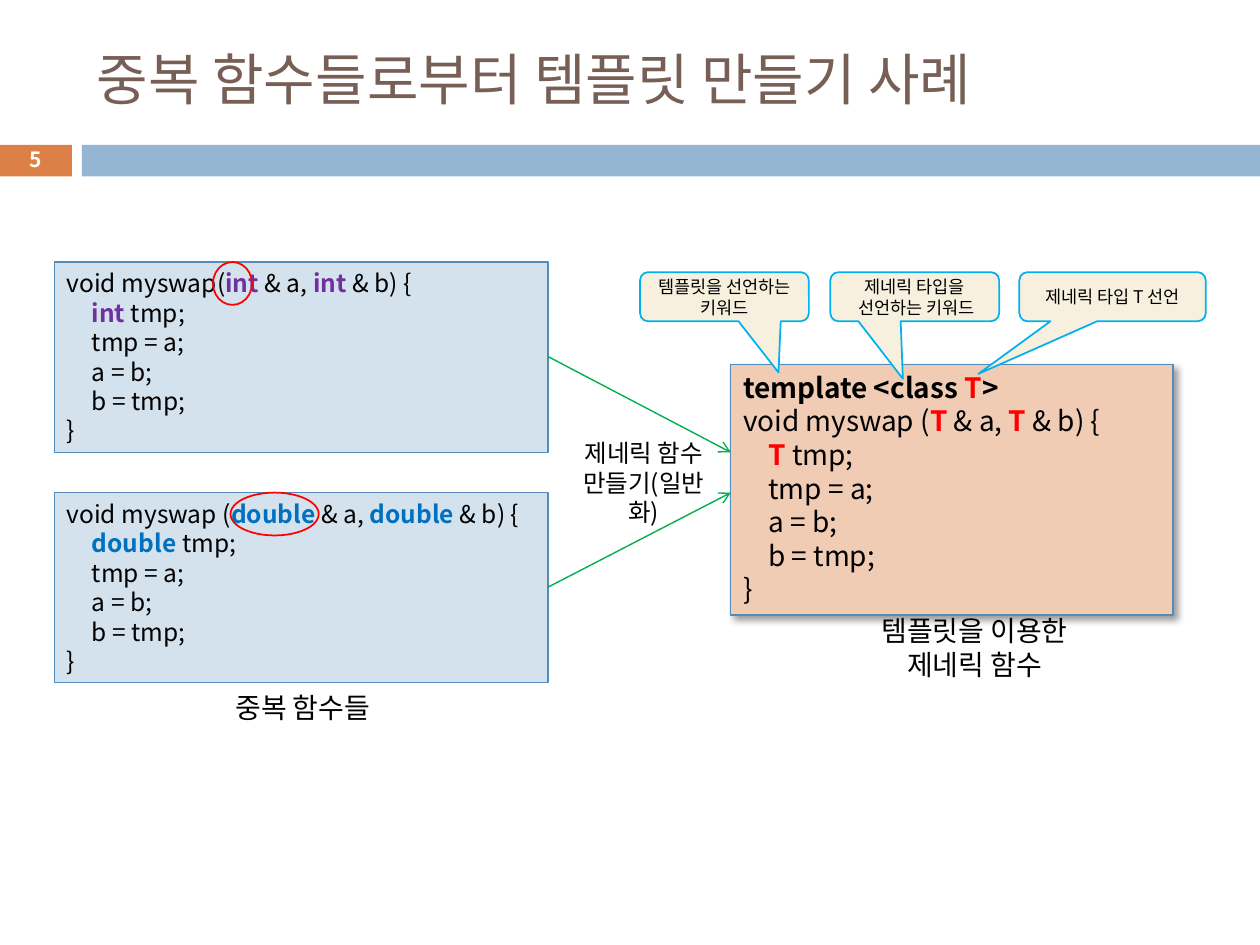
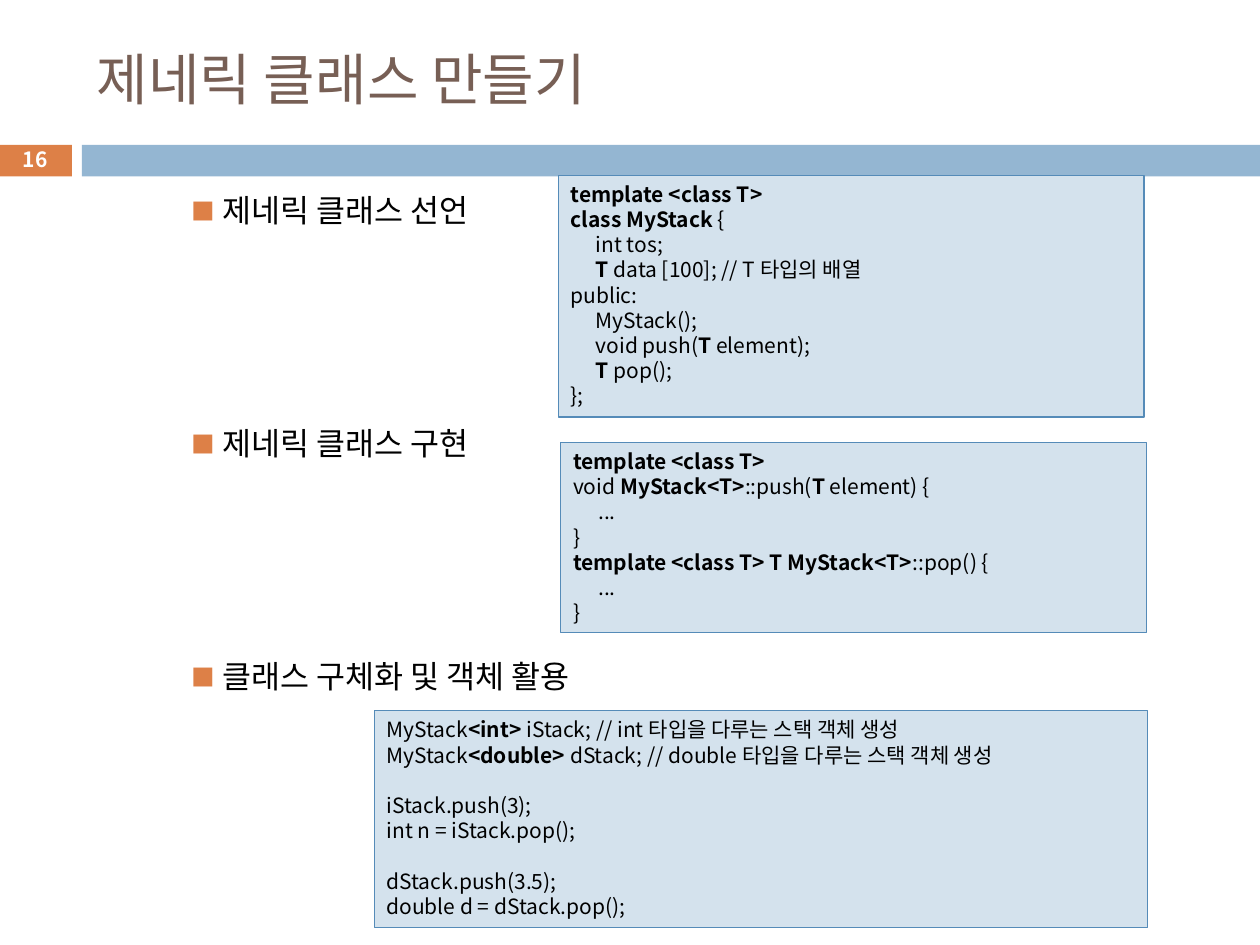
from dataclasses import dataclass

from lxml import etree
from pptx import Presentation
from pptx.dml.color import RGBColor
from pptx.enum.shapes import MSO_CONNECTOR, MSO_SHAPE
from pptx.enum.text import MSO_ANCHOR, PP_ALIGN
from pptx.oxml import parse_xml
from pptx.oxml.ns import nsdecls, qn
from pptx.util import Inches, Pt

RECT, OVAL = MSO_SHAPE.RECTANGLE, MSO_SHAPE.OVAL
CALLOUT = MSO_SHAPE.ROUNDED_RECTANGULAR_CALLOUT
STRAIGHT = MSO_CONNECTOR.STRAIGHT
TOP, MIDDLE = MSO_ANCHOR.TOP, MSO_ANCHOR.MIDDLE
LEFT, CENTER = PP_ALIGN.LEFT, PP_ALIGN.CENTER


@dataclass(frozen=True)
class Theme:
    font: str = "Noto Sans CJK KR"
    ink: str = "000000"
    white: str = "FFFFFF"
    title: str = "775F55"
    orange: str = "DD8047"
    band: str = "94B6D2"
    code_fill: str = "D4E2ED"
    code_line: str = "558BB8"
    template_fill: str = "F1CCB5"
    callout_fill: str = "F7F0DE"
    callout_line: str = "00B0F0"
    arrow: str = "00B050"
    red: str = "FF0000"
    purple: str = "7030A0"
    blue: str = "0070C0"
    title_size: int = 32
    bullet_size: int = 18
    label_size: int = 16
    code_size: int = 14
    small_size: int = 12
    callout_size: int = 10
    leading: float = 1.2
    code_tab: float = 0.2


THEME = Theme()

# In code, `...` is bold and ~...~ is bold in the accent colour of its block.
SWAP_BODY = ["\ttmp = a;", "\ta = b;", "\tb = tmp;", "}"]

SWAP_SLIDE = {
    "number": "5",
    "title": "중복 함수들로부터 템플릿 만들기 사례",
    "code": [
        {"at": (0.43, 3.91, 3.92, 1.51), "accent": THEME.blue, "size": THEME.code_size,
         "lines": ["void myswap (~double~ & a, ~double~ & b) {", "\t~double ~tmp;"] + SWAP_BODY},
        {"at": (0.43, 2.08, 3.92, 1.51), "accent": THEME.purple, "size": THEME.code_size,
         "lines": ["void myswap(~int ~& a, ~int~ & b) {", "\t~int ~tmp;"] + SWAP_BODY},
        {"at": (5.8, 2.89, 3.51, 1.99), "accent": THEME.red, "size": THEME.label_size,
         "fill": THEME.template_fill, "shadow": True,
         "lines": ["`template <class ~T~>`", "void myswap (~T ~& a, ~T ~& b) {",
                   "\t~T ~tmp;"] + SWAP_BODY},
    ],
    "arrows": [((4.35, 2.83), (5.8, 3.59)), ((4.35, 4.66), (5.8, 3.91))],
    "labels": [
        ((6.81, 4.82, 1.85, 0.64), THEME.label_size, CENTER, ["템플릿을 이용한", "제네릭 함수"]),
        ((1.77, 5.43, 1.4, 0.37), THEME.label_size, LEFT, ["중복 함수들"]),
        ((4.41, 3.43, 1.4, 0.8), THEME.code_size, CENTER, ["제네릭 함수", "만들기(일반화)"]),
    ],
    # left, width, pointer offset, lines
    "callouts": [
        (5.08, 1.34, (0.32, 1.54), ["템플릿을 선언하는 키워드"]),
        (6.59, 1.34, (-0.07, 1.67), ["제네릭 타입을", " 선언하는 키워드"]),
        (8.09, 1.48, (-0.72, 1.57), ["제네릭 타입 T 선언"]),
    ],
    "rings": [(1.69, 2.08, 0.31, 0.34), (1.83, 3.91, 0.7, 0.34)],
}

CLASS_SLIDE = {
    "number": "16",
    "title": "제네릭 클래스 만들기",
    "bullets": ["제네릭 클래스 선언", "제네릭 클래스 구현", "클래스 구체화 및 객체 활용"],
    "code": [
        {"at": (4.43, 1.39, 4.65, 1.92), "size": THEME.small_size,
         "lines": ["`template <class T>`", "`class MyStack `{", "\tint tos;",
                   "\t`T` data [100]; // T 타입의 배열", "public:", "\tMyStack();",
                   "\tvoid push(`T` element);", "\t`T` pop();", "};"]},
        {"at": (4.45, 3.51, 4.65, 1.51), "size": THEME.small_size,
         "lines": ["`template <class T>`", "void `MyStack<T>`::push(`T` element) {",
                   "\t...", "}", "`template <class T> T MyStack<T>`::pop() {", "\t...", "}"]},
        {"at": (2.97, 5.64, 6.14, 1.72), "size": THEME.small_size, "breaks": (2, 4),
         "lines": ["MyStack`<int> `iStack; // int 타입을 다루는 스택 객체 생성",
                   "MyStack`<double> `dStack; // double 타입을 다루는 스택 객체 생성",
                   "iStack.push(3);", "int n = iStack.pop();",
                   "dStack.push(3.5);", "double d = dStack.pop();"]},
    ],
}

BULLET_BOX = (0.67, 1.47, 8.92, 5.35)
BULLET_STEP = 133  # points from one bullet to the next
CALLOUT_TOP, CALLOUT_HEIGHT = 2.16, 0.39


def rgb(value):
    return RGBColor.from_string(value)


def inches(lengths):
    return [Inches(length) for length in lengths]


def add_run(paragraph, text, size, color, bold=False):
    run = paragraph.add_run()
    run.text = text
    formats = {"size": Pt(size), "bold": bold, "name": THEME.font}
    for attribute, value in formats.items():
        setattr(run.font, attribute, value)
    run.font.color.rgb = rgb(color)
    etree.SubElement(run.font._element, qn("a:ea"), typeface=THEME.font)


def add_paragraphs(shape, count, size, align=LEFT, anchor=TOP):
    """Prepare the text frame and return its paragraphs, ready for runs."""
    frame = shape.text_frame
    frame.word_wrap = True
    frame.vertical_anchor = anchor
    paragraphs = [frame.paragraphs[0]] + [frame.add_paragraph() for _ in range(count - 1)]
    formats = {"alignment": align, "line_spacing": Pt(size * THEME.leading)}
    for paragraph in paragraphs:
        for attribute, value in formats.items():
            setattr(paragraph, attribute, value)
    return paragraphs


def write(shape, lines, size, color=THEME.ink, align=LEFT, anchor=TOP, bold=False):
    paragraphs = add_paragraphs(shape, len(lines), size, align, anchor)
    for paragraph, line in zip(paragraphs, lines):
        add_run(paragraph, line, size, color, bold)
    return paragraphs


def add_text(slide, at, lines, size, **formats):
    return write(slide.shapes.add_textbox(*inches(at)), lines, size, **formats)


def add_box(slide, kind, at, fill=None, line=None, width=1):
    shape = slide.shapes.add_shape(kind, *inches(at))
    shape.shadow.inherit = False
    if fill:
        shape.fill.solid()
        shape.fill.fore_color.rgb = rgb(fill)
    else:
        shape.fill.background()
    if line:
        shape.line.color.rgb = rgb(line)
        shape.line.width = Pt(width)
    else:
        shape.line.fill.background()
    return shape


def add_shadow(shape):
    effects = shape._element.spPr.find(qn("a:effectLst"))
    effects.append(parse_xml(
        f'<a:outerShdw {nsdecls("a")} blurRad="{Pt(4)}" dist="{Pt(3)}" dir="2700000" '
        f'algn="tl" rotWithShape="0"><a:srgbClr val="{THEME.ink}">'
        '<a:alpha val="40000"/></a:srgbClr></a:outerShdw>'))


def add_tab(paragraph, position):
    stops = etree.SubElement(paragraph._p.get_or_add_pPr(), qn("a:tabLst"))
    etree.SubElement(stops, qn("a:tab"), pos=str(Inches(position)), algn="l")


def add_code(slide, block):
    box = add_box(slide, RECT, block["at"], block.get("fill", THEME.code_fill),
                  THEME.code_line, 0.75)
    if block.get("shadow"):
        add_shadow(box)
    size, lines = block["size"], block["lines"]
    for index, paragraph in enumerate(add_paragraphs(box, len(lines), size)):
        if index in block.get("breaks", ()):
            paragraph.space_before = Pt(size * THEME.leading)
        add_tab(paragraph, THEME.code_tab)
        for bold, chunk in enumerate(lines[index].split("`")):
            for accented, piece in enumerate(chunk.split("~")):
                if piece:
                    color = block["accent"] if accented % 2 else THEME.ink
                    add_run(paragraph, piece, size, color, bool(bold % 2 or accented % 2))


def add_arrow(slide, start, end):
    arrow = slide.shapes.add_connector(STRAIGHT, *inches(start + end))
    arrow.line.color.rgb = rgb(THEME.arrow)
    arrow.line.width = Pt(0.79)
    etree.SubElement(arrow.line._get_or_add_ln(), qn("a:tailEnd"), type="arrow")
    etree.SubElement(arrow._element.spPr, qn("a:effectLst"))


def add_callout(slide, left, width, pointer, lines):
    callout = add_box(slide, CALLOUT, (left, CALLOUT_TOP, width, CALLOUT_HEIGHT),
                      THEME.callout_fill, THEME.callout_line)
    for index, offset in enumerate(pointer):
        callout.adjustments[index] = offset
    write(callout, lines, THEME.callout_size, align=CENTER, anchor=MIDDLE)


def add_bullets(slide, bullets):
    size = THEME.bullet_size
    for index, paragraph in enumerate(add_text(slide, BULLET_BOX, bullets, size)):
        if index:
            paragraph.space_before = Pt(BULLET_STEP - size * THEME.leading)
        properties = paragraph._p.get_or_add_pPr()
        properties.set("marL", str(Inches(1)))
        properties.set("indent", str(Inches(-0.25)))
        color = etree.SubElement(properties, qn("a:buClr"))
        etree.SubElement(color, qn("a:srgbClr"), val=THEME.orange)
        etree.SubElement(properties, qn("a:buSzPct"), val="75000")
        etree.SubElement(properties, qn("a:buFont"), typeface=THEME.font)
        etree.SubElement(properties, qn("a:buChar"), char="■")


def add_slide(deck, content):
    """Start a slide with the shared bands, title and number."""
    slide = deck.slides.add_slide(deck.slide_layouts[6])
    add_box(slide, RECT, (-0.01, 1.15, 0.58, 0.25), THEME.orange)
    add_box(slide, RECT, (0.65, 1.15, 9.35, 0.25), THEME.band)
    add_text(slide, (0.67, 0.25, 8.92, 0.74), [content["title"]], THEME.title_size,
             color=THEME.title, anchor=MIDDLE)
    add_text(slide, (-0.01, 1.13, 0.58, 0.27), [content["number"]], THEME.small_size,
             color=THEME.white, align=CENTER, anchor=MIDDLE, bold=True)
    return slide


def build_swap_slide(deck):
    slide = add_slide(deck, SWAP_SLIDE)
    for block in SWAP_SLIDE["code"]:
        add_code(slide, block)
    for start, end in SWAP_SLIDE["arrows"]:
        add_arrow(slide, start, end)
    for at, size, align, lines in SWAP_SLIDE["labels"]:
        add_text(slide, at, lines, size, align=align)
    for callout in SWAP_SLIDE["callouts"]:
        add_callout(slide, *callout)
    for ring in SWAP_SLIDE["rings"]:
        add_box(slide, OVAL, ring, line=THEME.red)


def build_class_slide(deck):
    slide = add_slide(deck, CLASS_SLIDE)
    add_bullets(slide, CLASS_SLIDE["bullets"])
    for block in CLASS_SLIDE["code"]:
        add_code(slide, block)


def main():
    deck = Presentation()
    deck.slide_width, deck.slide_height = inches((10, 7.5))
    build_swap_slide(deck)
    build_class_slide(deck)
    deck.save("out.pptx")


if __name__ == "__main__":
    main()
